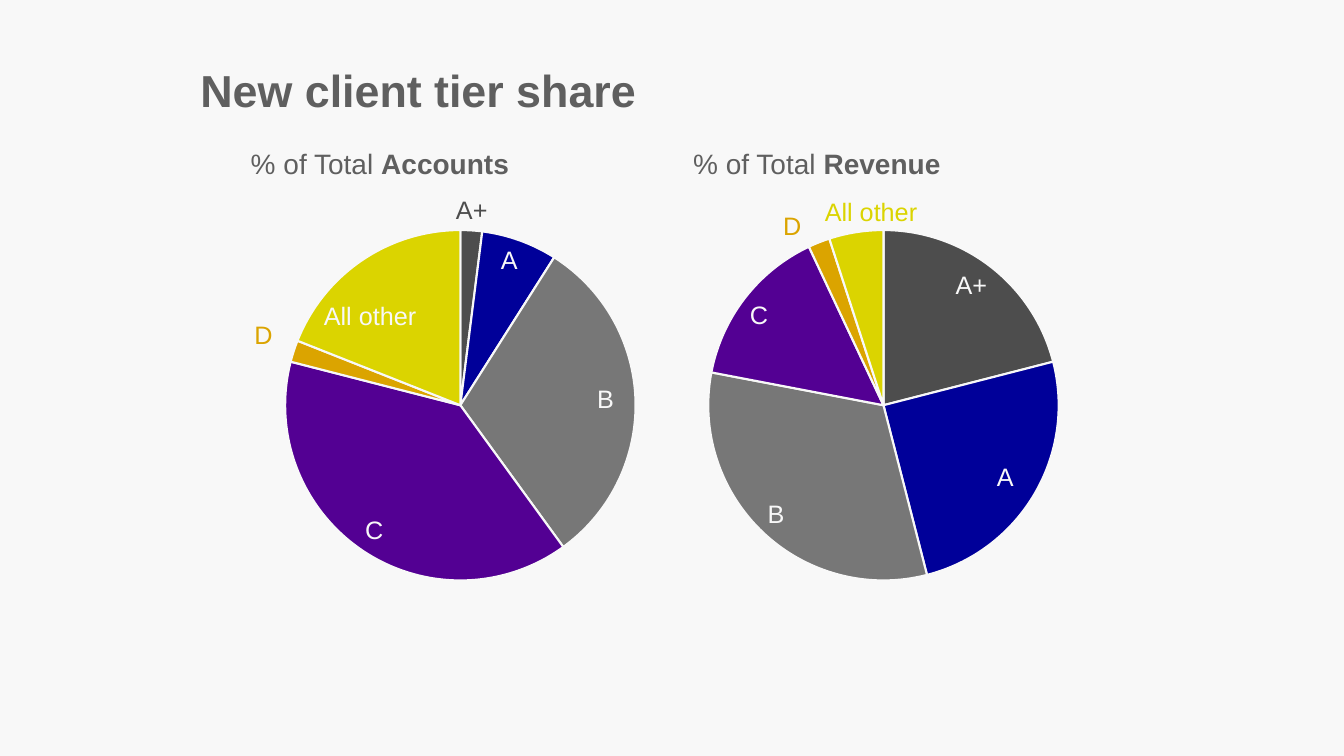
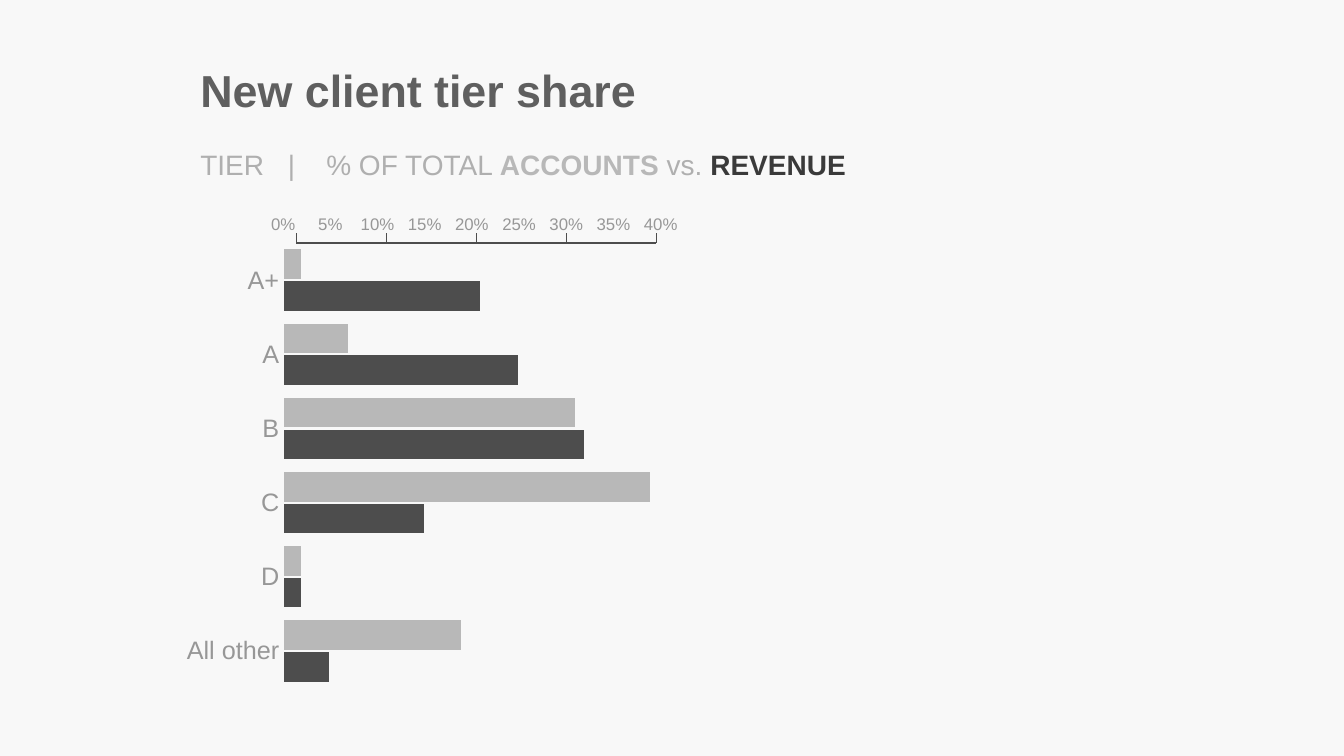
from lxml import etree
from pptx import Presentation
from pptx.chart.data import CategoryChartData
from pptx.dml.color import RGBColor
from pptx.enum.chart import XL_CHART_TYPE as ChartType
from pptx.enum.chart import XL_LABEL_POSITION as LabelPosition
from pptx.enum.chart import XL_TICK_MARK as TickMark
from pptx.enum.shapes import MSO_CONNECTOR as Connector
from pptx.enum.text import MSO_AUTO_SIZE as AutoSize
from pptx.oxml.ns import qn
from pptx.util import Pt

BACKGROUND = RGBColor(0xF8, 0xF8, 0xF8)
TEXT = RGBColor(0x5F, 0x5F, 0x5F)
CHARCOAL = RGBColor(0x4D, 0x4D, 0x4D)
NAVY = RGBColor(0x00, 0x00, 0x99)
GRAY = RGBColor(0x77, 0x77, 0x77)
PURPLE = RGBColor(0x53, 0x00, 0x93)
AMBER = RGBColor(0xDB, 0xA4, 0x00)
YELLOW = RGBColor(0xDB, 0xD4, 0x00)
AXIS_TEXT = RGBColor(0x97, 0x97, 0x97)
MUTED_TEXT = RGBColor(0xAF, 0xAF, 0xAF)
SILVER = RGBColor(0xB8, 0xB8, 0xB8)
DARK_TEXT = RGBColor(0x3A, 0x3A, 0x3A)

FONT = "Arial"
TITLE = "New client tier share"
TIERS = ["A+", "A", "B", "C", "D", "All other"]
TIER_COLORS = [CHARCOAL, NAVY, GRAY, PURPLE, AMBER, YELLOW]
ACCOUNTS = [2, 7, 31, 39, 2, 19]
REVENUE = [21, 25, 32, 15, 2, 5]


def set_font(font, size, color, bold=None):
    font.name = FONT
    font.size = Pt(size)
    font.color.rgb = color
    if bold is not None:
        font.bold = bold


def outline_and_fill(chart_format, color):
    chart_format.fill.solid()
    chart_format.fill.fore_color.rgb = color
    chart_format.line.color.rgb = BACKGROUND
    chart_format.line.width = Pt(1.5)


def set_layout(parent, index, settings):
    """Put a manual layout, in fractions of the chart, at index in parent."""
    for old_layout in parent.findall(qn("c:layout")):
        parent.remove(old_layout)
    layout = etree.Element(qn("c:layout"))
    manual = etree.SubElement(layout, qn("c:manualLayout"))
    for tag, value in settings:
        etree.SubElement(manual, qn(f"c:{tag}")).set("val", str(value))
    parent.insert(index, layout)


def place_plot(chart, x, y, width, height):
    plot_area = chart.element.xpath(".//c:plotArea")[0]
    set_layout(plot_area, 0, [
        ("layoutTarget", "inner"), ("xMode", "edge"), ("yMode", "edge"),
        ("x", x), ("y", y), ("w", width), ("h", height)])


class Report:
    def __init__(self):
        self.deck = Presentation()
        self.deck.slide_width = Pt(960)
        self.deck.slide_height = Pt(540)
        self.page = None

    def new_page(self):
        self.page = self.deck.slides.add_slide(self.deck.slide_layouts[6])
        fill = self.page.background.fill
        fill.solid()
        fill.fore_color.rgb = BACKGROUND
        self.text(136, 41, 338, 46, 32, [(TITLE, TEXT, True)])

    def text(self, left, top, width, height, size, spans, tabs=()):
        box = self.page.shapes.add_textbox(Pt(left), Pt(top), Pt(width), Pt(height))
        box.text_frame.word_wrap = True
        box.text_frame.auto_size = AutoSize.SHAPE_TO_FIT_TEXT
        para = box.text_frame.paragraphs[0]
        if tabs:
            tab_list = etree.SubElement(para._p.get_or_add_pPr(), qn("a:tabLst"))
            for position in tabs:
                tab = etree.SubElement(tab_list, qn("a:tab"))
                tab.set("pos", str(Pt(position)))
                tab.set("algn", "l")
        for words, color, bold in spans:
            span = para.add_run()
            span.text = words
            set_font(span.font, size, color, bold)

    def chart(self, kind, left, top, width, height, series, number_format="General"):
        data = CategoryChartData(number_format=number_format)
        data.categories = TIERS
        for name, values in series:
            data.add_series(name, values)
        frame = self.page.shapes.add_chart(
            kind, Pt(left), Pt(top), Pt(width), Pt(height), data)
        chart = frame.chart
        chart.has_legend = False
        chart.has_title = False
        set_font(chart.font, 10, TEXT)
        return chart

    def pie(self, left, plot_x, name, values, outside, shifts):
        """Pie of tiers; labels of outside tiers lie beyond the rim, shifts move labels."""
        chart = self.chart(ChartType.PIE, left, 129, 369.4, 294.5, [(name, values)])
        place_plot(chart, plot_x, 0.12, 0.68, 0.85)
        chart.plots[0].vary_by_categories = True
        series = chart.plots[0].series[0]
        labels = series.data_labels
        set_font(labels.font, 18, BACKGROUND)
        labels.position = LabelPosition.INSIDE_END
        labels.show_value = False
        labels.show_category_name = True
        for index, (tier, color) in enumerate(zip(TIERS, TIER_COLORS)):
            point = series.points[index]
            outline_and_fill(point.format, color)
            if tier in outside:
                set_font(point.data_label.font, 18, color)
                point.data_label.position = LabelPosition.OUTSIDE_END
            elif tier in shifts:
                set_font(point.data_label.font, 18, BACKGROUND)
                point.data_label.position = LabelPosition.INSIDE_END
        for label in chart.element.xpath(".//c:dLbl"):
            label.find(qn("c:showVal")).set("val", "0")
            label.find(qn("c:showCatName")).set("val", "1")
            tier = TIERS[int(label.find(qn("c:idx")).get("val"))]
            if tier in shifts:
                set_layout(label, 1, zip("xy", shifts[tier]))
        for leader_lines in chart.element.xpath(".//c:showLeaderLines"):
            leader_lines.set("val", "0")

    def bars(self, left, top, width, height, series, colors):
        chart = self.chart(ChartType.BAR_CLUSTERED, left, top, width, height, series, "0%")
        place_plot(chart, 0.22, 0.08, 0.73, 0.9)
        plot = chart.plots[0]
        plot.vary_by_categories = False
        plot.gap_width = 33
        plot.overlap = 0
        for bar_series, color in zip(plot.series, colors):
            outline_and_fill(bar_series.format, color)
            bar_series.invert_if_negative = False
        tiers, shares = chart.category_axis, chart.value_axis
        for axis, size, tick in [(tiers, 18, TickMark.NONE), (shares, 12, TickMark.OUTSIDE)]:
            axis.has_major_gridlines = False
            axis.major_tick_mark = tick
            axis.minor_tick_mark = TickMark.NONE
            axis.format.line.fill.background()
            set_font(axis.tick_labels.font, size, AXIS_TEXT)
        tiers.reverse_order = True
        shares.minimum_scale = 0
        shares.maximum_scale = 0.4
        shares.major_unit = 0.05
        shares.tick_labels.number_format = "0%"
        shares.tick_labels.number_format_is_linked = False

    def line(self, x1, y1, x2, y2):
        connector = self.page.shapes.add_connector(
            Connector.STRAIGHT, Pt(x1), Pt(y1), Pt(x2), Pt(y2))
        connector.line.color.rgb = CHARCOAL
        connector.line.width = Pt(1)
        etree.SubElement(connector._element.spPr, qn("a:effectLst"))

    def ruler(self, left, base, step, count):
        """Base line split into count steps, with a tick at each end of a step."""
        self.line(left, base, left + step * count, base)
        for index in range(count + 1):
            x = left + step * index
            self.line(x, base - 7, x, base)


def main():
    report = Report()

    report.new_page()
    pies = [
        (122, 0.22, 172, "Accounts", ACCOUNTS, ["A+", "D"],
         {"B": (-0.03, 0), "D": (-0.03, 0), "All other": (-0.08, 0.09)}),
        (439, 0.18, 488, "Revenue", REVENUE, ["D", "All other"],
         {"A": (-0.03, 0), "D": (-0.03, 0.01), "All other": (0.12, 0)}),
    ]
    for left, plot_x, heading_left, name, values, outside, shifts in pies:
        report.pie(left, plot_x, name, values, outside, shifts)
        report.text(heading_left, 101, 256, 32, 20,
                    [("% of Total ", TEXT, False), (name, TEXT, True)])

    report.new_page()
    shares = [(name, [value / 100 for value in values])
              for name, values in [("Accounts", ACCOUNTS), ("Revenue", REVENUE)]]
    report.bars(121, 145.5, 369.4, 353, shares, [SILVER, CHARCOAL])
    report.text(136, 101.5, 640, 32, 20, [
        ("TIER\t|\t% OF TOTAL ", MUTED_TEXT, False),
        ("ACCOUNTS ", SILVER, True),
        ("vs. ", MUTED_TEXT, False),
        ("REVENUE", DARK_TEXT, True),
    ], tabs=(62.5, 90))
    report.ruler(211.7, 173.5, 64.3, 4)

    report.deck.save("out.pptx")


if __name__ == "__main__":
    main()
